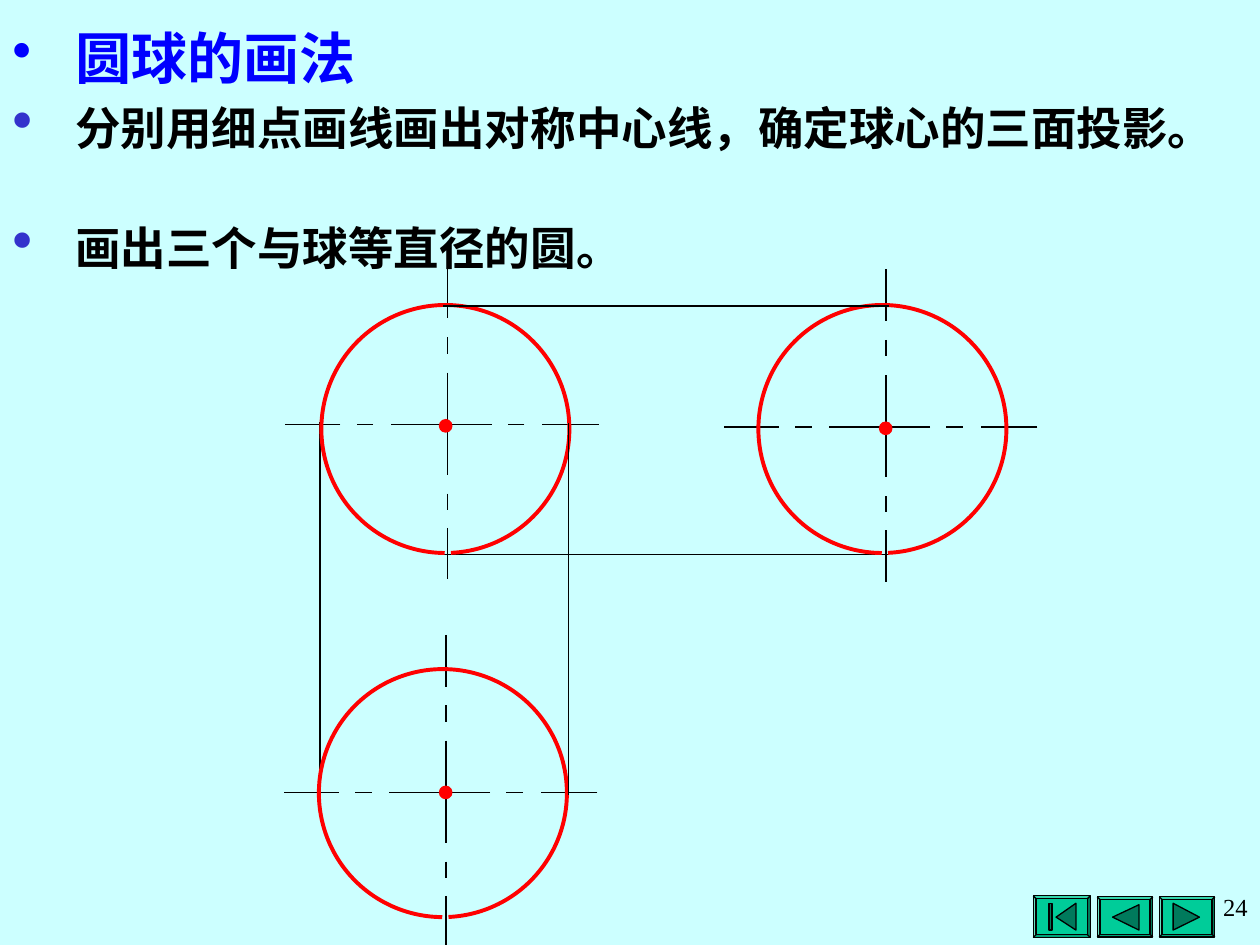
from lxml import etree
from pptx import Presentation
from pptx.dml.color import RGBColor
from pptx.enum.shapes import MSO_CONNECTOR, MSO_SHAPE
from pptx.enum.text import PP_ALIGN
from pptx.oxml.ns import qn
from pptx.util import Cm, Pt

LINE = MSO_CONNECTOR.STRAIGHT
ARC, OVAL, BEVEL = MSO_SHAPE.ARC, MSO_SHAPE.OVAL, MSO_SHAPE.BEVEL
RIGHT = PP_ALIGN.RIGHT
SANS, SERIF = "Noto Sans CJK SC", "Times New Roman"
BLACK, RED, GREEN, DARK = "000000", "FF0000", "00CC99", "007A5C"

# Content: text, size, colour, bullet colour, bullet %, space before, line height
STEPS = [
    ("圆球的画法", 32, "0000FF", "0000FF", 100, 0, 41),
    ("分别用细点画线画出对称中心线，确定球心的三面投影。", 26, BLACK, "3333CC", 130, 6.5, 30),
    ("画出三个与球等直径的圆。", 26, BLACK, "3333CC", 130, 39, 30),
]
PAGE = "24"

# Each view, in cm: crossing of centre lines, corner of circle, corner of dot
VIEWS = [
    ((17.86, 8.61), (15.29, 6.15), (17.73, 8.51)),
    ((9.02, 8.56), (6.48, 6.15), (8.86, 8.46)),
    ((8.99, 15.98), (6.43, 13.49), (8.86, 15.85)),
]
BALL, DOT = 5, 0.25
# Dashes run leftwards from the right end and down from the top end
EAST, NORTH = 3.05, 3.18
ACROSS = [(0, 1.14), (1.5, 1.83), (2.16, 4.19), (4.55, 4.88), (5.21, 6.32)]
DOWN = [(0, 1.04), (1.42, 1.75), (2.13, 4.19), (4.57, 4.9), (5.26, 6.3)]
# Projection lines between the views
LOW = [(17.91, 11.18, 8.89, 11.18), (6.45, 8.51, 6.45, 16)]
TOP = [(11.46, 8.53, 11.46, 16.03), (17.93, 6.17, 8.94, 6.17)]
# Buttons: box, then the outlines of the marks on it
BUTTONS = [
    ((23.37, 18.08, 1.12, 0.81), [[(23.65, 18.21), (24.18, 18.49), (23.65, 18.75)]]),
    ((22.12, 18.08, 1.12, 0.81), [[(22.43, 18.49), (22.96, 18.24), (22.96, 18.75)]]),
    ((20.83, 18.06, 1.15, 0.84), [
        [(21.29, 18.49), (21.69, 18.21), (21.69, 18.75)],
        [(21.15, 18.21), (21.21, 18.21), (21.21, 18.75), (21.15, 18.75)]]),
]


def rgb(code):
    return RGBColor.from_string(code)


def paint(shape, fill, line, width=0.75):
    shape.shadow.inherit = False
    if fill:
        shape.fill.solid()
        shape.fill.fore_color.rgb = rgb(fill)
    else:
        shape.fill.background()
    shape.line.color.rgb = rgb(line)
    shape.line.width = Pt(width)


def place(kind, x, y, w, h):
    return shapes.add_shape(kind, Cm(x), Cm(y), Cm(w), Cm(h))


def draw(home, ends):
    line = home.add_connector(LINE, *map(Cm, ends))
    line.line.color.rgb = rgb(BLACK)
    line.line.width = Pt(0.75)
    etree.SubElement(line._element.spPr, qn("a:effectLst"))


def write(para, text, size, font, color, bold=False):
    para.text = text
    run = para.runs[0]
    run.font.size, run.font.name, run.font.bold = Pt(size), font, bold
    run.font.color.rgb = rgb(color)
    etree.SubElement(run._r.get_or_add_rPr(), qn("a:ea"), typeface=font)


def bullet(para, color, size):
    props = para._p.get_or_add_pPr()
    props.set("marL", str(Cm(1.27)))
    props.set("indent", str(-Cm(1.27)))
    tint = etree.SubElement(props, qn("a:buClr"))
    etree.SubElement(tint, qn("a:srgbClr"), val=color)
    etree.SubElement(props, qn("a:buSzPct"), val=str(size * 1000))
    etree.SubElement(props, qn("a:buChar"), char="•")


deck = Presentation()
deck.slide_width, deck.slide_height = Cm(25.4), Cm(19.05)
slide = deck.slides.add_slide(deck.slide_layouts[6])
slide.background.fill.solid()
slide.background.fill.fore_color.rgb = rgb("CCFFFF")
shapes = slide.shapes

# Navigation buttons
for box, marks in BUTTONS:
    button = place(BEVEL, *box)
    button.adjustments[0] = 0.07
    paint(button, GREEN, BLACK)
    for (x, y), *rest in marks:
        pen = shapes.build_freeform(Cm(x), Cm(y))
        pen.add_line_segments([(Cm(a), Cm(b)) for a, b in rest], close=True)
        paint(pen.convert_to_shape(), DARK, BLACK)

# Centre lines
for (x, y), _, _ in VIEWS:
    cross = shapes.add_group_shape().shapes
    for a, b in ACROSS:
        draw(cross, (x + EAST - a, y, x + EAST - b, y))
    for a, b in DOWN:
        draw(cross, (x, y - NORTH + a, x, y - NORTH + b))

# Steps
body = shapes.add_textbox(0, Cm(0.25), Cm(25.4), Cm(5.38)).text_frame
body.word_wrap = True
for i, (text, size, color, tint, scale, gap, high) in enumerate(STEPS):
    para = body.add_paragraph() if i else body.paragraphs[0]
    para.space_before, para.line_spacing = Pt(gap), Pt(high)
    bullet(para, tint, scale)
    write(para, text, size, SANS, color, True)

# Projection lines, circles with a small gap at the bottom, and centres
for ends in LOW:
    draw(shapes, ends)
for _, spot, _ in VIEWS:
    ball = place(ARC, *spot, BALL, BALL)
    for i, angle in enumerate((90.3, 87.4)):
        ball.adjustments[i] = angle * 0.6
    paint(ball, None, RED, 2.25)
for _, _, spot in VIEWS:
    paint(place(OVAL, *spot, DOT, DOT), RED, RED)
for ends in TOP:
    draw(shapes, ends)

# Page number
foot = shapes.add_textbox(Cm(19), Cm(17.86), Cm(6.4), Cm(1.55)).text_frame
foot.word_wrap = True
foot.paragraphs[0].alignment = RIGHT
write(foot.paragraphs[0], PAGE, 14, SERIF, BLACK)

deck.save("out.pptx")
